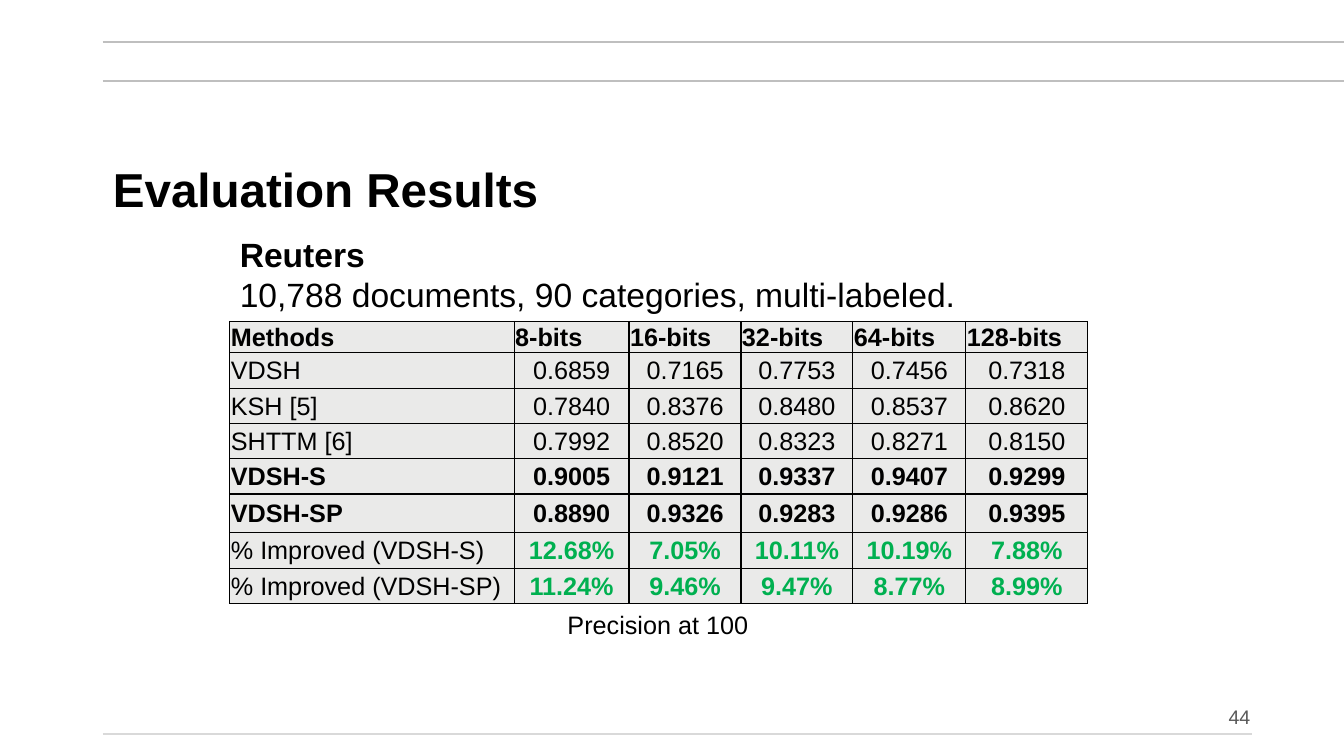
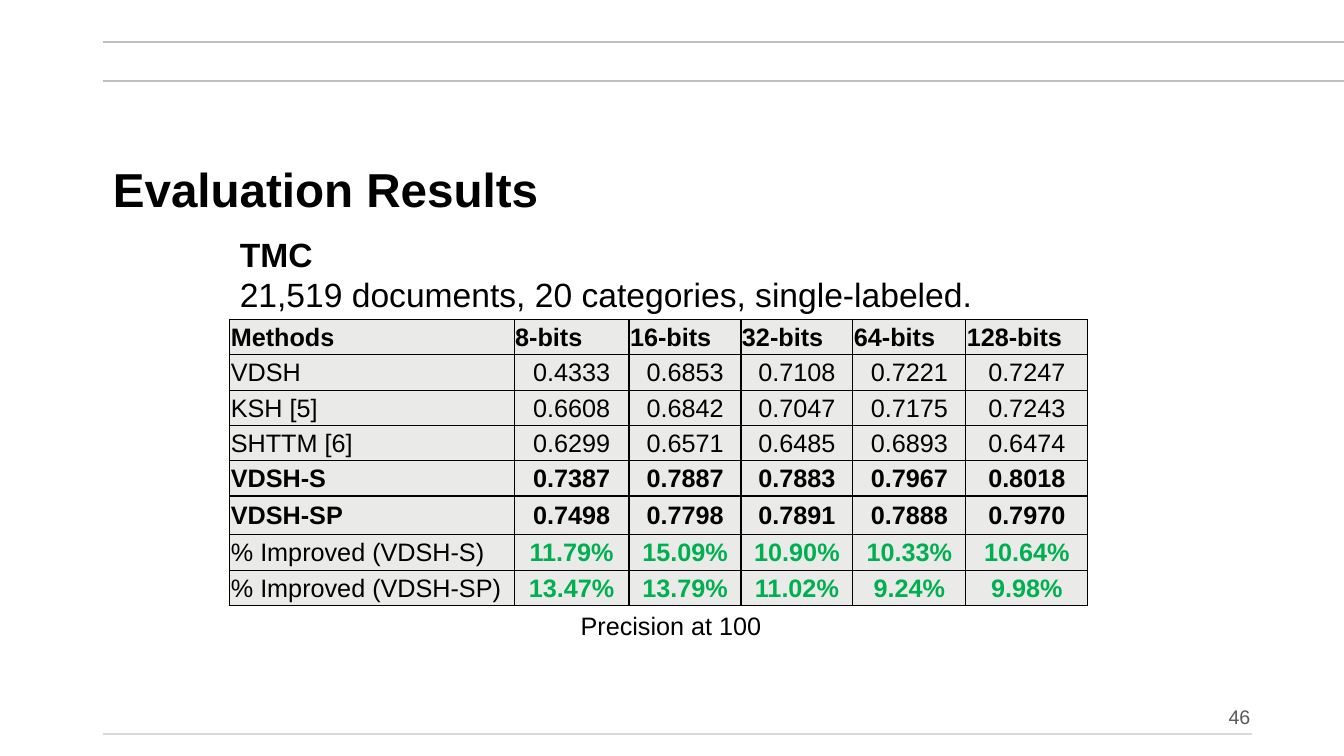
from lxml import etree
from pptx import Presentation
from pptx.dml.color import RGBColor
from pptx.enum import shapes, text
from pptx.oxml import ns
from pptx.util import Inches, Pt

# Shared style
FONT = "Arial"
BLACK, GREEN, GREY = "000000", "00B050", "595959"
CELL_FILL = "EAEAE9"
LEFT, RIGHT, SLIDE_WIDTH = 1.02, 12.42, 13.33
RULES = [(0.8, SLIDE_WIDTH, "BFBFBF"), (0.42, SLIDE_WIDTH, "BFBFBF"),
         (7.28, RIGHT, "D9D9D9")]

# Table layout
TABLE_LEFT = 2.28
COLUMN_WIDTHS = [2.82, 1.14, 1.11, 1.11, 1.12, 1.21]
BODY_HEIGHTS = [0.35, 0.35, 0.35, 0.35, 0.38, 0.36, 0.35]
CELL_FORMAT = {
    "margin_left": Inches(0.01), "margin_right": Inches(0.01),
    "margin_top": Inches(0.01), "margin_bottom": 0,
    "vertical_anchor": text.MSO_ANCHOR.MIDDLE,
}
HEADER = ["Methods", "8-bits", "16-bits", "32-bits", "64-bits", "128-bits"]
METHODS = ["VDSH", "KSH [5]", "SHTTM [6]", "VDSH-S", "VDSH-SP",
           "% Improved (VDSH-S)", "% Improved (VDSH-SP)"]
OUR_METHODS = {"VDSH-S", "VDSH-SP"}

# Content of each slide
RESULTS = [
    {
        "dataset": "Reuters",
        "summary": "10,788 documents, 90 categories, multi-labeled.",
        "summary_width": 7.37,
        "page": "44",
        "table_top": 3.19,
        "header_height": 0.29,
        "caption_at": (5.53, 6),
        "scores": [
            "0.6859 0.7165 0.7753 0.7456 0.7318",
            "0.7840 0.8376 0.8480 0.8537 0.8620",
            "0.7992 0.8520 0.8323 0.8271 0.8150",
            "0.9005 0.9121 0.9337 0.9407 0.9299",
            "0.8890 0.9326 0.9283 0.9286 0.9395",
            "12.68% 7.05% 10.11% 10.19% 7.88%",
            "11.24% 9.46% 9.47% 8.77% 8.99%",
        ],
    },
    {
        "dataset": "TMC",
        "summary": "21,519 documents, 20 categories, single-labeled.",
        "summary_width": 7.54,
        "page": "46",
        "table_top": 3.17,
        "header_height": 0.35,
        "caption_at": (5.66, 6.01),
        "scores": [
            "0.4333 0.6853 0.7108 0.7221 0.7247",
            "0.6608 0.6842 0.7047 0.7175 0.7243",
            "0.6299 0.6571 0.6485 0.6893 0.6474",
            "0.7387 0.7887 0.7883 0.7967 0.8018",
            "0.7498 0.7798 0.7891 0.7888 0.7970",
            "11.79% 15.09% 10.90% 10.33% 10.64%",
            "13.47% 13.79% 11.02% 9.24% 9.98%",
        ],
    },
]


def rgb(hex_color):
    return RGBColor.from_string(hex_color)


def set_format(target, values):
    for name, value in values.items():
        setattr(target, name, value)


def write(paragraph, words, size, color=BLACK, bold=False, **layout):
    """Fill a paragraph with one run; layout holds paragraph attributes."""
    run = paragraph.add_run()
    run.text = words
    set_format(run.font, {"name": FONT, "size": Pt(size), "bold": bold})
    run.font.color.rgb = rgb(color)
    set_format(paragraph, layout)


def add_rules(slide):
    for y, end, color in RULES:
        rule = slide.shapes.add_connector(
            shapes.MSO_CONNECTOR.STRAIGHT,
            Inches(LEFT), Inches(y), Inches(end), Inches(y))
        rule.line.color.rgb = rgb(color)
        rule.line.width = Pt(1.5)
        etree.SubElement(rule._element.spPr, ns.qn("a:effectLst"))


def set_title(slide, words):
    title = slide.shapes.title
    set_format(title, {"left": Inches(LEFT), "top": Inches(1.28),
                       "width": Inches(11.39), "height": Inches(1.25)})
    set_format(title.text_frame, {
        "auto_size": text.MSO_AUTO_SIZE.NONE, "word_wrap": True,
        "vertical_anchor": text.MSO_ANCHOR.MIDDLE})
    write(title.text_frame.paragraphs[0], words, 34, bold=True,
          alignment=text.PP_ALIGN.LEFT, line_spacing=0.9)


def add_text(slide, left, top, width, height, **frame_format):
    box = slide.shapes.add_textbox(
        Inches(left), Inches(top), Inches(width), Inches(height))
    set_format(box.text_frame, {"word_wrap": False, **frame_format})
    return box.text_frame


def add_borders(cell):
    properties = cell._tc.get_or_add_tcPr()
    for side in ("lnL", "lnR", "lnT", "lnB"):
        border = etree.SubElement(
            properties, ns.qn(f"a:{side}"), w=str(Pt(1)))
        fill = etree.SubElement(border, ns.qn("a:solidFill"))
        etree.SubElement(fill, ns.qn("a:srgbClr"), val=BLACK)


def fill_cell(cell, words, color, bold, alignment):
    set_format(cell, CELL_FORMAT)
    add_borders(cell)
    cell.fill.solid()
    cell.fill.fore_color.rgb = rgb(CELL_FILL)
    write(cell.text_frame.paragraphs[0], words, 18, color, bold,
          alignment=alignment)


def add_score_table(slide, top, header_height, scores):
    heights = [header_height] + BODY_HEIGHTS
    rows = [HEADER] + [[method] + line.split()
                       for method, line in zip(METHODS, scores)]
    table = slide.shapes.add_table(
        len(rows), len(HEADER), Inches(TABLE_LEFT), Inches(top),
        Inches(sum(COLUMN_WIDTHS)), Inches(sum(heights))).table
    set_format(table, {"first_row": False, "horz_banding": False})
    for column, width in zip(table.columns, COLUMN_WIDTHS):
        column.width = Inches(width)
    for r, (values, height) in enumerate(zip(rows, heights)):
        table.rows[r].height = Inches(height)
        strong_row = r == 0 or values[0] in OUR_METHODS
        for c, value in enumerate(values):
            gain = value.endswith("%")
            centred = r > 0 and c > 0
            fill_cell(table.cell(r, c), value, GREEN if gain else BLACK,
                      strong_row or gain,
                      text.PP_ALIGN.CENTER if centred else text.PP_ALIGN.LEFT)


def add_result_slide(deck, result):
    slide = deck.slides.add_slide(deck.slide_layouts[5])
    add_rules(slide)
    set_title(slide, "Evaluation Results")

    # Data set heading
    heading = add_text(slide, TABLE_LEFT, 2.27, result["summary_width"], 0.91)
    write(heading.paragraphs[0], result["dataset"], 24, bold=True)
    write(heading.add_paragraph(), result["summary"], 24)

    # Scores and caption
    add_score_table(slide, result["table_top"], result["header_height"],
                    result["scores"])
    caption = add_text(slide, *result["caption_at"], 2.01, 0.4)
    write(caption.paragraphs[0], "Precision at 100", 18)

    # Page number
    page = add_text(slide, 8.26, 6.84, 4.24, 0.44, word_wrap=True,
                    vertical_anchor=text.MSO_ANCHOR.BOTTOM)
    write(page.paragraphs[0], result["page"], 14, GREY,
          alignment=text.PP_ALIGN.RIGHT, line_spacing=0.9)


def main():
    deck = Presentation()
    set_format(deck, {"slide_width": Inches(SLIDE_WIDTH),
                      "slide_height": Inches(7.5)})
    for result in RESULTS:
        add_result_slide(deck, result)
    deck.save("out.pptx")


if __name__ == "__main__":
    main()
